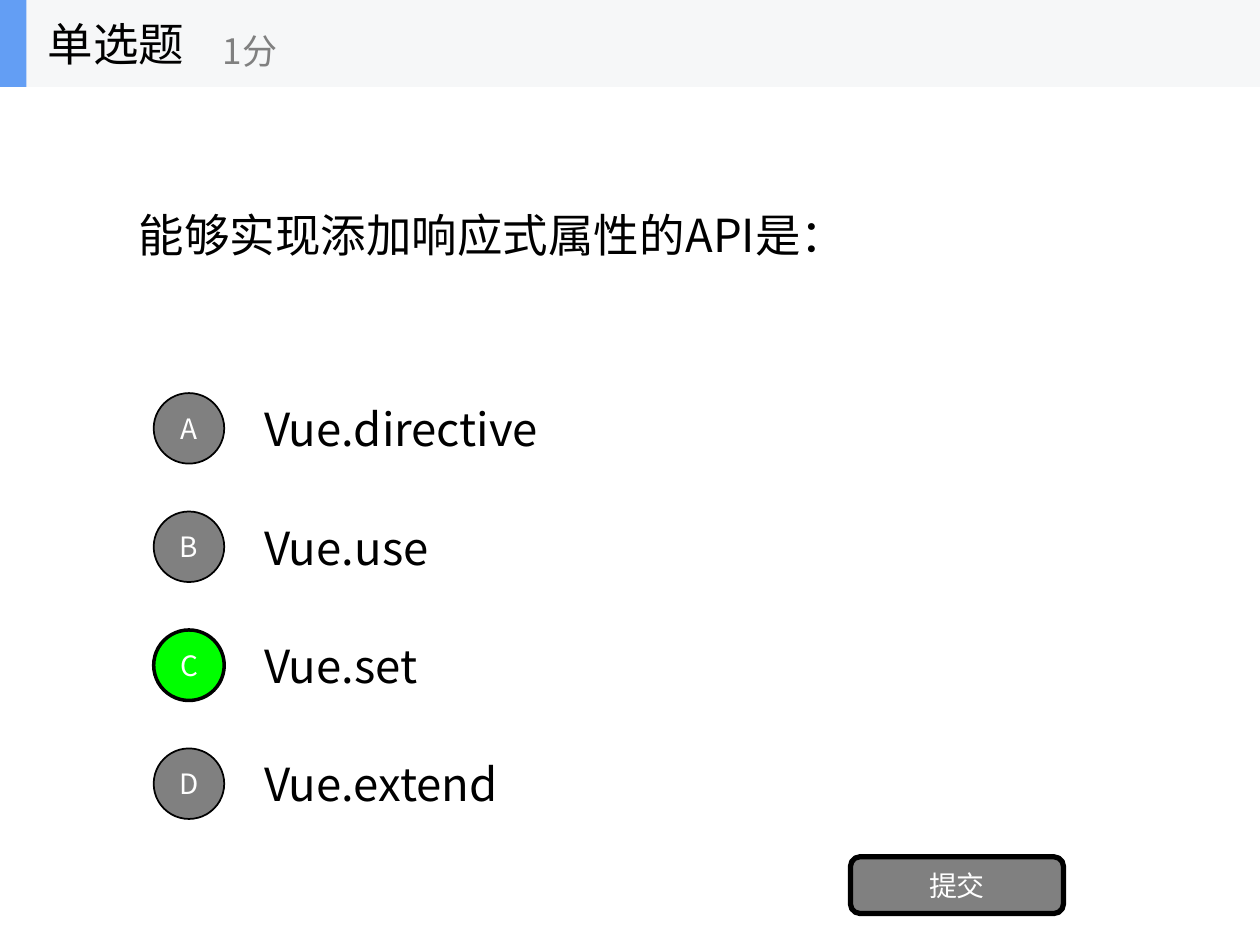
from dataclasses import dataclass

from lxml.etree import SubElement
from pptx import Presentation
from pptx.dml.color import RGBColor
from pptx.enum.shapes import MSO_SHAPE
from pptx.enum.text import MSO_ANCHOR, PP_ALIGN
from pptx.oxml.ns import qn
from pptx.util import Inches, Pt

FONT = "Noto Sans CJK SC"
BLACK, WHITE, GRAY = "000000", "FFFFFF", "808080"
GREEN, BLUE, PALE = "00FF00", "639EF4", "F6F7F8"

HEADER_H = 0.69
OPTION_TOP, OPTION_STEP, OPTION_H = 3.05, 0.94, 0.7
BADGE = 0.56


@dataclass
class Option:
    letter: str
    text: str
    correct: bool = False


OPTIONS = [
    Option("A", "Vue.directive"),
    Option("B", "Vue.use"),
    Option("C", "Vue.set", correct=True),
    Option("D", "Vue.extend"),
]


def rgb(color: str) -> RGBColor:
    return RGBColor.from_string(color)


def write(sp, text: str, size: float = 26, color: str = BLACK,
          align=PP_ALIGN.LEFT) -> None:
    tf = sp.text_frame
    tf.word_wrap = True
    tf.vertical_anchor = MSO_ANCHOR.MIDDLE
    p = tf.paragraphs[0]
    p.alignment = align
    r = p.add_run()
    r.text = text
    r.font.name = FONT
    r.font.size = Pt(size)
    r.font.color.rgb = rgb(color)
    # Chinese characters take their font from the East Asian slot
    SubElement(r.font._element, qn("a:ea")).set("typeface", FONT)


def add_text(shapes, box: tuple, text: str, **fmt) -> None:
    write(shapes.add_textbox(*map(Inches, box)), text, **fmt)


def add_block(shapes, kind, box: tuple, fill: str, line: float = 0,
              text: str = "") -> None:
    """Add a filled shape; line is the border width in points, 0 for none."""
    sp = shapes.add_shape(kind, *map(Inches, box))
    sp.shadow.inherit = False
    sp.fill.solid()
    sp.fill.fore_color.rgb = rgb(fill)
    if line:
        sp.line.color.rgb = rgb(BLACK)
        sp.line.width = Pt(line)
    else:
        sp.line.fill.background()
    if text:
        tf = sp.text_frame
        tf.margin_left = tf.margin_right = tf.margin_top = tf.margin_bottom = 0
        write(sp, text, size=16, color=WHITE, align=PP_ALIGN.CENTER)


def add_question(s, text: str) -> None:
    title = s.shapes.title
    title.left, title.top = Inches(1), Inches(HEADER_H)
    title.width, title.height = Inches(8), Inches(2.34)
    write(title, text)


def add_options(shapes, options: list[Option]) -> None:
    tops = [OPTION_TOP + i * OPTION_STEP for i in range(len(options))]
    for option, top in zip(options, tops):
        add_text(shapes, (2, top, 7, OPTION_H), option.text)
    for option, top in zip(options, tops):
        badge_top = top + (OPTION_H - BADGE) / 2
        add_block(shapes, MSO_SHAPE.OVAL, (1.22, badge_top, BADGE, BADGE),
                  GREEN if option.correct else GRAY,
                  line=2 if option.correct else 1, text=option.letter)


def add_header(shapes, kind: str, score: str) -> None:
    header = shapes.add_group_shape().shapes
    add_block(header, MSO_SHAPE.RECTANGLE, (0, 0, 10, HEADER_H), PALE)
    add_block(header, MSO_SHAPE.RECTANGLE, (0, 0, 0.21, HEADER_H), BLUE)
    add_text(header, (0.28, 0, 2.08, HEADER_H), kind)
    add_text(header, (1.67, 0.12, 2.5, 0.56), score, size=20, color=GRAY)


def main() -> None:
    prs = Presentation()
    prs.slide_width, prs.slide_height = Inches(10), Inches(7.5)
    s = prs.slides.add_slide(prs.slide_layouts[5])
    add_question(s, "能够实现添加响应式属性的API是：")
    add_options(s.shapes, OPTIONS)
    add_block(s.shapes, MSO_SHAPE.ROUNDED_RECTANGLE, (6.75, 6.8, 1.69, 0.45),
              GRAY, line=3, text="提交")
    add_header(s.shapes, "单选题", "1分")
    prs.save("out.pptx")


if __name__ == "__main__":
    main()
